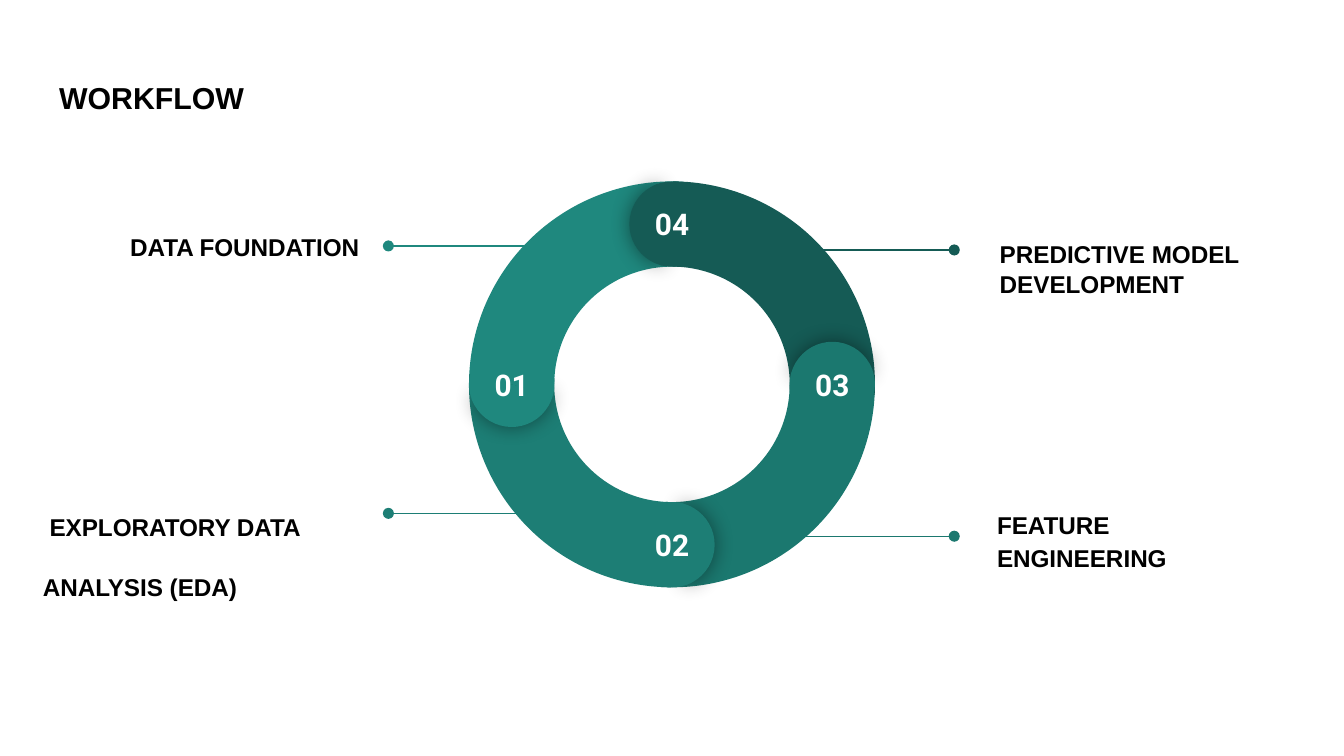
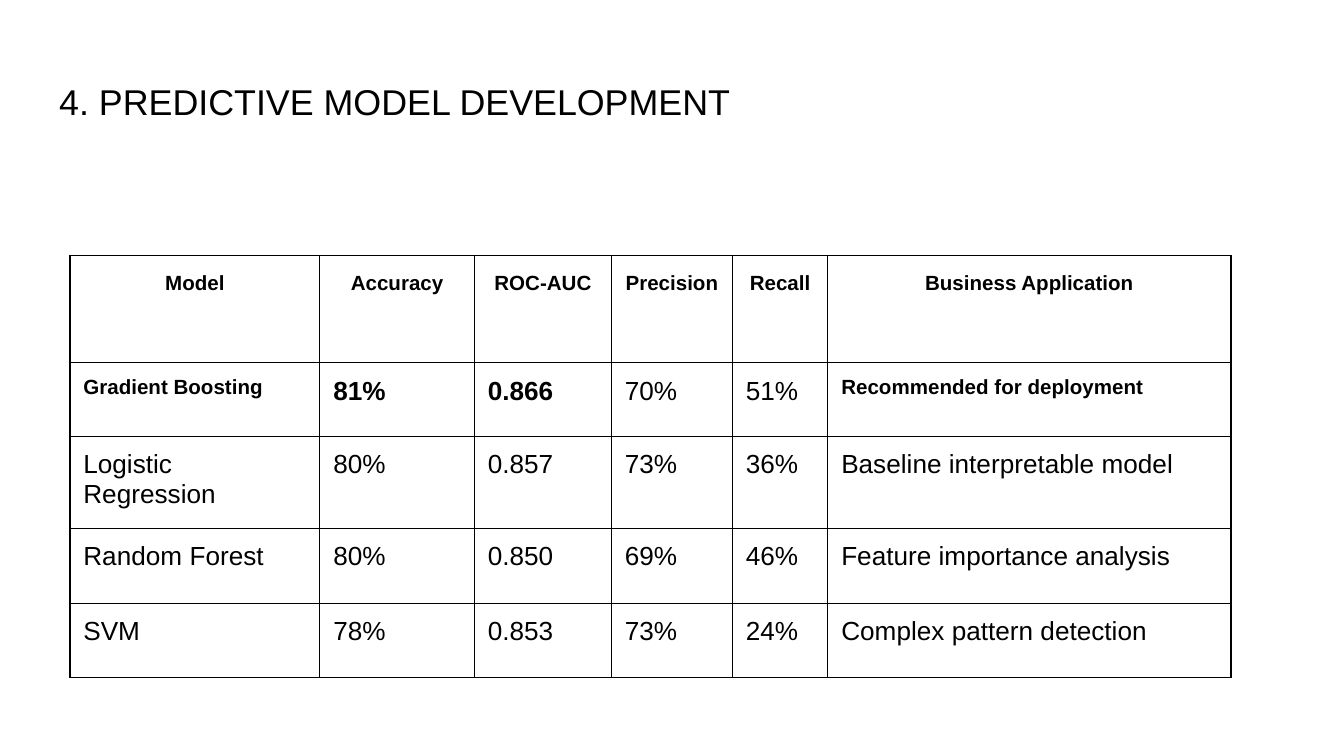
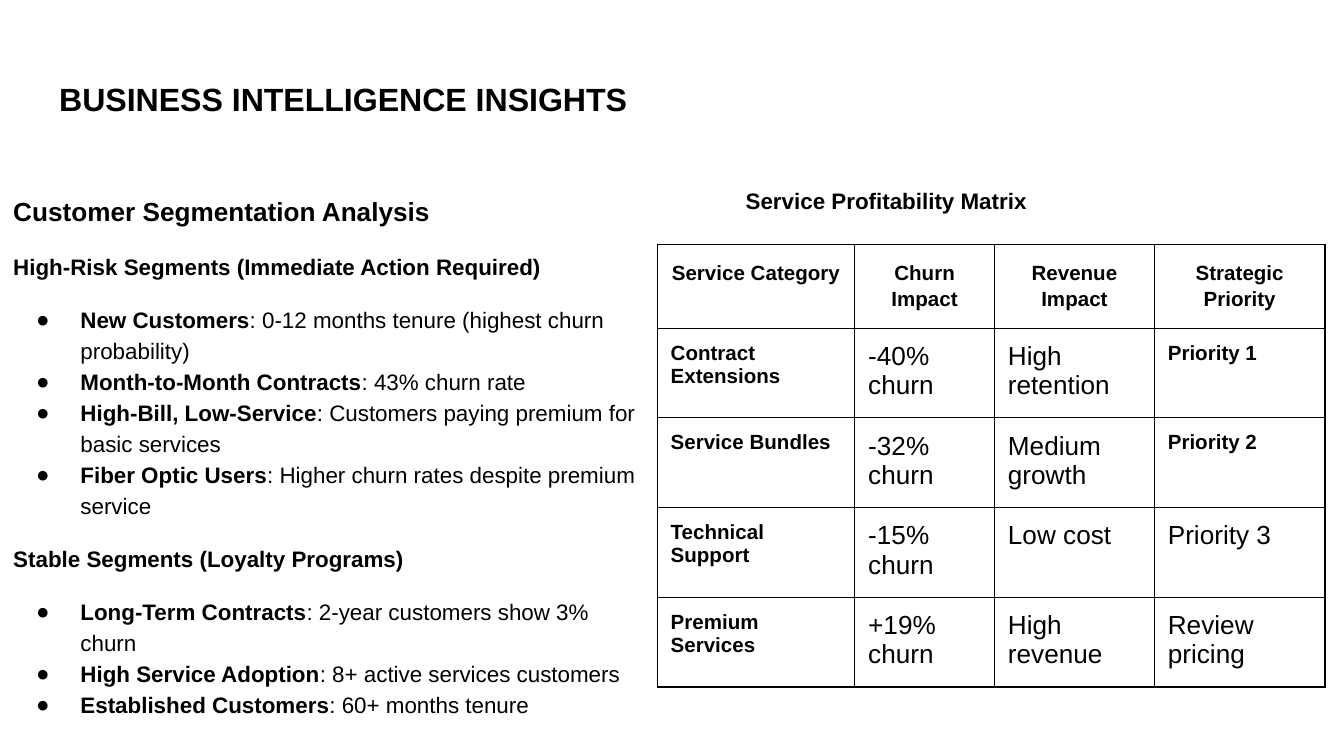
import dataclasses

import lxml.etree
import pptx
import pptx.dml.color
import pptx.enum.shapes
import pptx.enum.text
import pptx.oxml.ns
import pptx.util

Inches = pptx.util.Inches
Pt = pptx.util.Pt
qn = pptx.oxml.ns.qn
Align = pptx.enum.text.PP_ALIGN
Anchor = pptx.enum.text.MSO_ANCHOR
Preset = pptx.enum.shapes.MSO_SHAPE


@dataclasses.dataclass(frozen=True)
class Theme:
    black: str = "000000"
    white: str = "FFFFFF"
    steps: tuple = ("1F887E", "1D7E75", "1B786F", "155B55")
    font: str = "Arial"
    number_font: str = "Roboto"
    number_size: float = 16
    label_size: float = 13
    heading_size: float = 14
    body_size: float = 12
    table_label_size: float = 11
    table_value_size: float = 14
    line_width: float = 0.75
    inset: float = 0.1
    line_spacing: float = 1.15


THEME = Theme()
CELL_STYLES = {
    "L": (THEME.table_label_size, True),
    "S": (THEME.table_value_size, True),
    "P": (THEME.table_value_size, False),
}


def rgb(color):
    return pptx.dml.color.RGBColor.from_string(color)


def add_xml(parent, tag, **attributes):
    return lxml.etree.SubElement(parent, qn(tag), attributes)


def format_run(run, size, bold, color=THEME.black, font=THEME.font):
    run.font.name = font
    run.font.size = Pt(size)
    run.font.bold = bold
    run.font.color.rgb = rgb(color)


def set_insets(text_frame, bottom=THEME.inset):
    text_frame.margin_left = text_frame.margin_right = Inches(THEME.inset)
    text_frame.margin_top = Inches(THEME.inset)
    text_frame.margin_bottom = Inches(bottom)


def add_text_box(slide, box, bottom=THEME.inset, anchor=Anchor.TOP):
    text_box = slide.shapes.add_textbox(*map(Inches, box))
    text_frame = text_box.text_frame
    text_frame.word_wrap = True
    text_frame.vertical_anchor = anchor
    set_insets(text_frame, bottom)
    return text_frame


def add_titled_slide(presentation, text, size, bold):
    slide = presentation.slides.add_slide(presentation.slide_layouts[5])
    title = slide.shapes.title
    title.left, title.top = Inches(0.34), Inches(0.49)
    title.width, title.height = Inches(9.32), Inches(0.63)
    text_frame = title.text_frame
    text_frame.text = text
    text_frame.word_wrap = True
    text_frame.auto_size = pptx.enum.text.MSO_AUTO_SIZE.NONE
    text_frame.vertical_anchor = Anchor.TOP
    set_insets(text_frame)
    paragraph = text_frame.paragraphs[0]
    paragraph.alignment = Align.LEFT
    format_run(paragraph.runs[0], size, bold)
    return slide


def add_ring_part(slide, preset, box, rotation, adjustments, color):
    shape = slide.shapes.add_shape(preset, *map(Inches, box))
    for index, value in enumerate(adjustments):
        shape.adjustments[index] = value
    shape.rotation = rotation % 360
    shape.fill.solid()
    shape.fill.fore_color.rgb = rgb(color)
    shape.line.fill.background()
    shape.shadow.inherit = False
    return shape


def add_soft_shadow(shape):
    effects = shape._element.spPr.find(qn("a:effectLst"))
    shadow = add_xml(effects, "a:outerShdw", blurRad=str(Pt(11.2)), dist="0", algn="ctr", rotWithShape="0")
    color = add_xml(shadow, "a:srgbClr", val=THEME.black)
    add_xml(color, "a:alpha", val="43000")


def draw_ring(slide, left, top, size):
    thickness = 0.21
    cap = thickness * size
    reach = (size - cap) / 2
    number_width, number_height, number_rise = 0.55, 0.29, 0.09
    directions = ((-1, 0), (0, 1), (1, 0), (0, -1))

    for index, color in enumerate(THEME.steps):
        add_ring_part(slide, Preset.BLOCK_ARC, (left, top, size, size),
                      330 - 90 * index, (126.2, 181.8, thickness), color)

    for index, (color, (across, down)) in enumerate(zip(THEME.steps, directions)):
        center_x = left + size / 2 + across * reach
        center_y = top + size / 2 + down * reach
        cap_box = (center_x - cap / 2, center_y - cap / 2, cap, cap)
        rotation = 270 - 90 * index
        add_soft_shadow(add_ring_part(slide, Preset.PIE, cap_box, rotation + 0.7, (61.9, 149.96), color))
        add_ring_part(slide, Preset.PIE, cap_box, rotation + 180, (40.28, 171.84), color)
        text_frame = add_text_box(slide, (center_x - number_width / 2,
                                          center_y - number_rise - number_height / 2,
                                          number_width, number_height))
        text_frame.text = f"{index + 1:02d}"
        paragraph = text_frame.paragraphs[0]
        paragraph.alignment = Align.CENTER
        format_run(paragraph.runs[0], THEME.number_size, True, THEME.white, THEME.number_font)


def draw_pointer(slide, start_x, end_x, y, color):
    pointer = slide.shapes.add_connector(pptx.enum.shapes.MSO_CONNECTOR.STRAIGHT,
                                         Inches(start_x), Inches(y), Inches(end_x), Inches(y))
    pointer.line.color.rgb = rgb(color)
    pointer.line.width = Pt(THEME.line_width)
    add_xml(pointer.line._get_or_add_ln(), "a:tailEnd", type="oval")
    add_xml(pointer._element.spPr, "a:effectLst")


def draw_step_label(slide, box, text, anchor, bottom, line_spacing):
    text_frame = add_text_box(slide, box, bottom, anchor)
    text_frame.text = text
    for index, paragraph in enumerate(text_frame.paragraphs):
        paragraph.line_spacing = line_spacing
        paragraph.space_before = Pt(14 if index else 0)
        format_run(paragraph.runs[0], THEME.label_size, True)


def draw_table(slide, left, top, widths, heights, rows):
    frame = slide.shapes.add_table(len(rows), len(widths), Inches(left), Inches(top),
                                   Inches(sum(widths)), Inches(sum(heights)))
    table = frame.table
    table.first_row = False
    table.horz_banding = False
    for column, width in zip(table.columns, widths):
        column.width = Inches(width)
    for row, height in zip(table.rows, heights):
        row.height = Inches(height)
    for row_index, (styles, texts) in enumerate(rows):
        for column_index, (style, text) in enumerate(zip(styles, texts)):
            fill_cell(table.cell(row_index, column_index), text, style, row_index == 0)


def fill_cell(cell, text, style, is_header):
    cell.text_frame.text = text
    set_insets(cell)
    cell.fill.background()
    paragraph = cell.text_frame.paragraphs[0]
    if is_header:
        paragraph.alignment = Align.CENTER
        paragraph.line_spacing = THEME.line_spacing
    format_run(paragraph.runs[0], *CELL_STYLES[style])
    properties = cell._tc.get_or_add_tcPr()
    for index, side in enumerate(("a:lnL", "a:lnR", "a:lnT", "a:lnB")):
        border = add_xml(properties, side, w=str(Pt(THEME.line_width)))
        add_xml(add_xml(border, "a:solidFill"), "a:srgbClr", val=THEME.black)
        properties.insert(index, border)


def add_bullet(paragraph):
    properties = paragraph._p.get_or_add_pPr()
    properties.set("marL", str(Inches(0.5)))
    properties.set("indent", str(Inches(-0.33)))
    add_xml(add_xml(properties, "a:buClr"), "a:srgbClr", val=THEME.black)
    add_xml(properties, "a:buFont", typeface=THEME.font)
    add_xml(properties, "a:buChar", char="●")


def draw_segments(slide, box, heading, segments):
    text_frame = add_text_box(slide, box)
    text_frame.text = heading
    format_run(text_frame.paragraphs[0].runs[0], THEME.heading_size, True)
    text_frame.paragraphs[0].line_spacing = THEME.line_spacing

    def add_line(parts, gap):
        paragraph = text_frame.add_paragraph()
        paragraph.line_spacing = THEME.line_spacing
        paragraph.space_before = Pt(gap)
        for index, part in enumerate(parts):
            run = paragraph.add_run()
            run.text = part
            format_run(run, THEME.body_size, index == 0)
        return paragraph

    for subheading, items in segments:
        add_line((subheading,), 12)
        for index, (name, detail) in enumerate(items):
            add_bullet(add_line((name, f": {detail}"), 0 if index else 12))


def build_workflow(presentation):
    slide = add_titled_slide(presentation, "WORKFLOW", 16.2, True)
    draw_ring(slide, 3.49, 1.35, 3.02)
    pointers = ((4.03, 2.89, 1.83), (4.32, 2.89, 3.82), (5.7, 7.1, 3.99), (5.7, 7.1, 1.86))
    for pointer, color in zip(pointers, THEME.steps):
        draw_pointer(slide, *pointer, color)
    labels = (
        ((0.87, 1.29, 2.32, 1.06), "DATA FOUNDATION", Anchor.MIDDLE, THEME.inset, THEME.line_spacing),
        ((0.22, 3.68, 3.09, 0.87), " EXPLORATORY DATA\nANALYSIS (EDA)", Anchor.TOP, THEME.inset, THEME.line_spacing),
        ((7.32, 3.65, 1.55, 0.92), "FEATURE ENGINEERING", Anchor.MIDDLE, 0.3, THEME.line_spacing),
        ((7.34, 1.4, 2.32, 1.41), "PREDICTIVE MODEL DEVELOPMENT", Anchor.MIDDLE, 0.31, 1.0),
    )
    for label in labels:
        draw_step_label(slide, *label)


def build_models(presentation):
    slide = add_titled_slide(presentation, "4. PREDICTIVE MODEL DEVELOPMENT", 19.2, False)
    rows = (
        ("LLLLLL", ("Model", "Accuracy", "ROC-AUC", "Precision", "Recall", "Business Application")),
        ("LSSPPL", ("Gradient Boosting", "81%", "0.866", "70%", "51%", "Recommended for deployment")),
        ("PPPPPP", ("Logistic Regression", "80%", "0.857", "73%", "36%", "Baseline interpretable model")),
        ("PPPPPP", ("Random Forest", "80%", "0.850", "69%", "46%", "Feature importance analysis")),
        ("PPPPPP", ("SVM", "78%", "0.853", "73%", "24%", "Complex pattern detection")),
    )
    draw_table(slide, 0.52, 1.9, (1.86, 1.15, 1.02, 0.9, 0.71, 3), (0.8, 0.55, 0.68, 0.56, 0.55), rows)


def build_insights(presentation):
    slide = add_titled_slide(presentation, "BUSINESS INTELLIGENCE INSIGHTS", 17.2, True)
    segments = (
        ("High-Risk Segments (Immediate Action Required)", (
            ("New Customers", "0-12 months tenure (highest churn probability)"),
            ("Month-to-Month Contracts", "43% churn rate"),
            ("High-Bill, Low-Service", "Customers paying premium for basic services"),
            ("Fiber Optic Users", "Higher churn rates despite premium service"),
        )),
        ("Stable Segments (Loyalty Programs)", (
            ("Long-Term Contracts", "2-year customers show 3% churn"),
            ("High Service Adoption", "8+ active services customers"),
            ("Established Customers", "60+ months tenure"),
        )),
    )
    draw_segments(slide, (0, 1.32, 4.89, 4.09), "Customer Segmentation Analysis", segments)
    rows = (
        ("LLLL", ("Service Category", "Churn Impact", "Revenue Impact", "Strategic Priority")),
        ("LPPL", ("Contract Extensions", "-40% churn", "High retention", "Priority 1")),
        ("LPPL", ("Service Bundles", "-32% churn", "Medium growth", "Priority 2")),
        ("LPPP", ("Technical Support", "-15% churn", "Low cost", "Priority 3")),
        ("LPPP", ("Premium Services", "+19% churn", "High revenue", "Review pricing")),
    )
    draw_table(slide, 4.89, 1.82, (1.47, 1.04, 1.19, 1.27), (0.21,) * len(rows), rows)
    caption = add_text_box(slide, (5.45, 1.29, 3.4, 0.4))
    caption.text = "Service Profitability Matrix"
    format_run(caption.paragraphs[0].runs[0], THEME.body_size, True)


def main():
    presentation = pptx.Presentation()
    presentation.slide_width = Inches(10)
    presentation.slide_height = Inches(5.625)
    build_workflow(presentation)
    build_models(presentation)
    build_insights(presentation)
    presentation.save("out.pptx")


if __name__ == "__main__":
    main()
